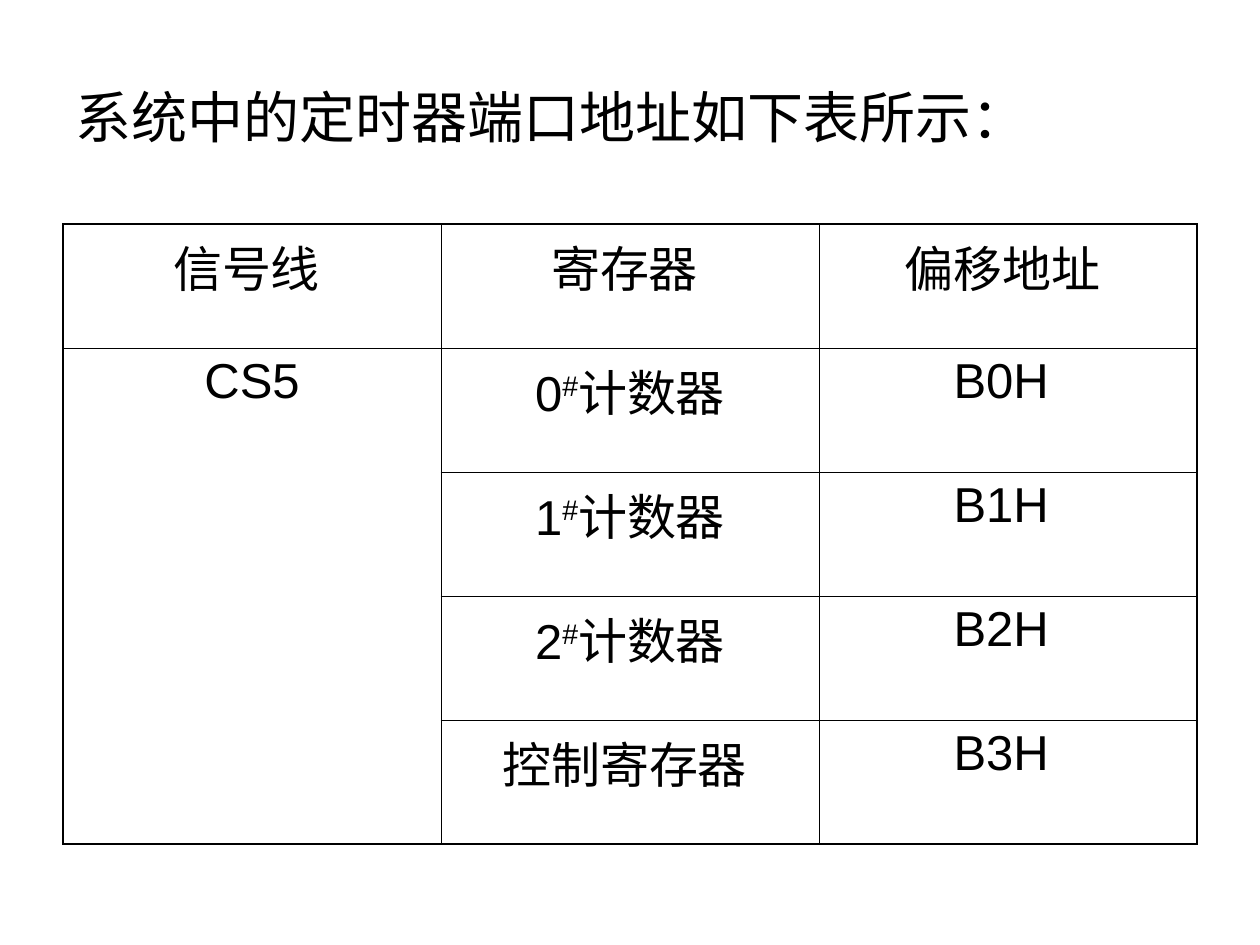
from dataclasses import dataclass

from lxml.etree import SubElement
from pptx import Presentation
from pptx.dml.color import RGBColor
from pptx.enum.text import MSO_ANCHOR, PP_ALIGN
from pptx.oxml.ns import qn
from pptx.util import Inches, Pt

BLACK = "000000"
FONT = "Arial"
THIN, THICK = 0.45, 1.08
MARGIN = 0.05  # share of the slide width
COLS, ROWS = 3, 5


@dataclass(frozen=True)
class Register:
    name: str
    address: str
    number: str = ""


HEADERS = ["信号线 ", "寄存器 ", "偏移地址 "]
REGISTERS = [Register("计数器", f"B{n}H ", str(n)) for n in range(3)]
REGISTERS.append(Register("控制寄存器 ", "B3H "))


def color(value: str) -> RGBColor:
    return RGBColor.from_string(value)


def add_run(p, text: str, size: float, superscript: bool = False) -> None:
    r = p.add_run()
    r.text = text
    r.font.name = FONT
    r.font.size = Pt(size)
    r.font.color.rgb = color(BLACK)
    if superscript:
        r.font._element.set("baseline", "30000")


def add_title(slide, left: int, top: int, width: int, height: int) -> None:
    tf = slide.shapes.add_textbox(left, top, width, height).text_frame
    tf.word_wrap = True
    tf.vertical_anchor = MSO_ANCHOR.MIDDLE
    add_run(tf.paragraphs[0], "系统中的定时器端口地址如下表所示：", 32)


def style_cell(cell, row: int, col: int) -> None:
    """Clear the fill; draw thick lines on the table's outer edges, thin inside."""
    last_row = row + (cell.span_height if cell.is_merge_origin else 1)
    outer = {"lnL": col == 0, "lnR": col == COLS - 1,
             "lnT": row == 0, "lnB": last_row == ROWS}
    tc_pr = cell._tc.get_or_add_tcPr()
    for tag, is_outer in outer.items():
        ln = SubElement(tc_pr, qn(f"a:{tag}"), w=str(Pt(THICK if is_outer else THIN)))
        fill = SubElement(ln, qn("a:solidFill"))
        SubElement(fill, qn("a:srgbClr"), val=BLACK)
    cell.fill.background()


def write_cell(cell, *parts: str) -> None:
    p = cell.text_frame.paragraphs[0]
    p.alignment = PP_ALIGN.CENTER
    for part in parts:
        add_run(p, part, 28, superscript=part == "#")


def add_port_table(slide, left: int, top: int, width: int, height: int) -> None:
    table = slide.shapes.add_table(ROWS, COLS, left, top, width, height).table
    table.first_row = table.horz_banding = False
    table.cell(1, 0).merge(table.cell(ROWS - 1, 0))
    for row in range(ROWS):
        for col in range(COLS):
            style_cell(table.cell(row, col), row, col)

    for col, header in enumerate(HEADERS):
        write_cell(table.cell(0, col), header)
    write_cell(table.cell(1, 0), "CS5")
    for row, reg in enumerate(REGISTERS, start=1):
        prefix = (reg.number, "#") if reg.number else ()
        write_cell(table.cell(row, 1), *prefix, reg.name)
        write_cell(table.cell(row, 2), reg.address)


def main() -> None:
    prs = Presentation()
    prs.slide_width, prs.slide_height = Inches(10), Inches(7.5)
    slide = prs.slides.add_slide(prs.slide_layouts[6])
    left = int(prs.slide_width * MARGIN)
    width = prs.slide_width - 2 * left
    add_title(slide, left, Inches(0.3), width, Inches(1.25))
    add_port_table(slide, left, Inches(1.78), width, Inches(4.92))
    prs.save("out.pptx")


if __name__ == "__main__":
    main()
